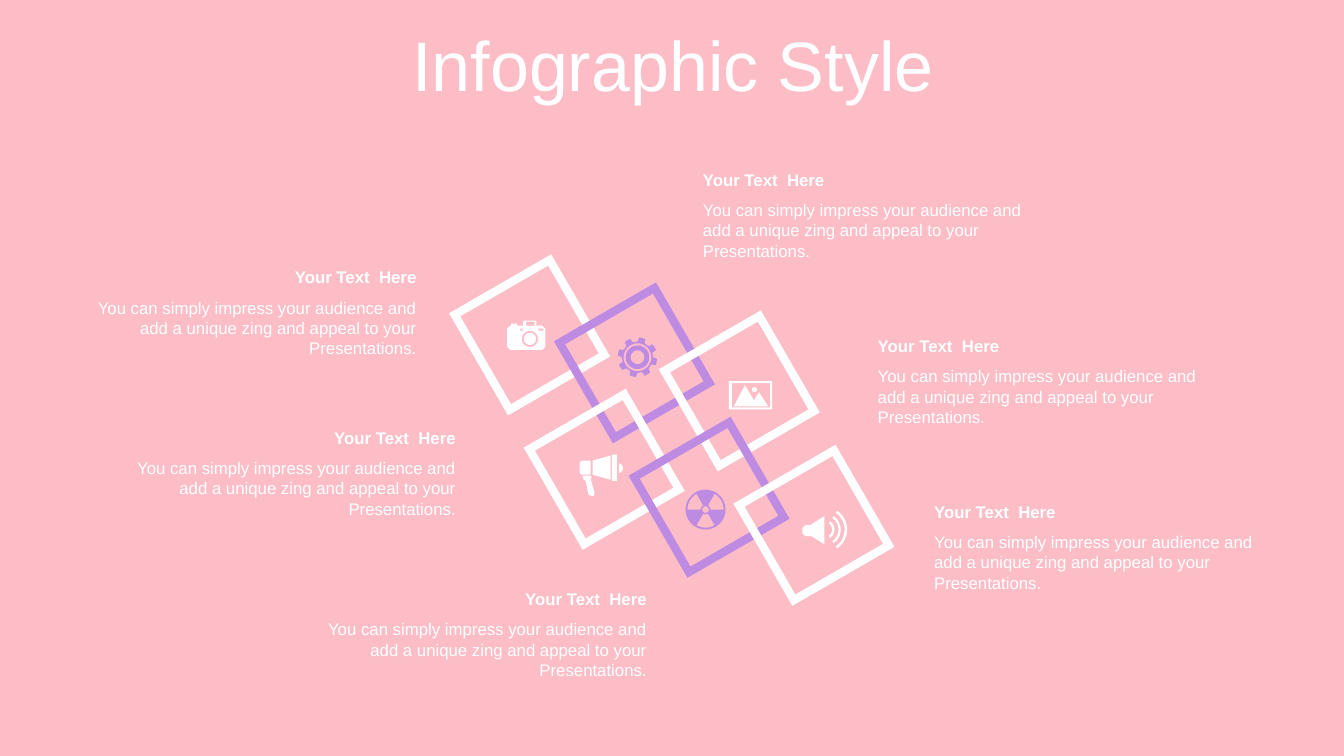
import math

import pptx
import pptx.dml.color
import pptx.enum.shapes
import pptx.enum.text
import pptx.util

Pt = pptx.util.Pt
COLORS = {"background": "FDBDC7", "light": "FFFFFF", "accent": "BE8BE2"}
FONT = "Arial"
HEADING = "Your Text  Here"
DETAIL = ("You can simply impress your audience and add a unique zing "
          "and appeal to your Presentations.")

LEFT_WIDTH, RIGHT_WIDTH = 257.8, 249.8
# left, top, and whether the caption stands left of the frames
CAPTIONS = [
    (495, 117.4, False), (619.9, 236.2, False), (660.2, 354.6, False),
    (46.8, 187.2, True), (74.9, 301.7, True), (211.3, 416.9, True),
]

ICON_UNIT = 0.72   # points per icon grid unit
ICON_DETAIL = 10   # freeform steps per grid unit


def color(name):
    return pptx.dml.color.RGBColor.from_string(COLORS[name])


def paint(shape, fill):
    shape.fill.solid()
    shape.fill.fore_color.rgb = color(fill)
    shape.line.fill.background()
    shape.shadow.inherit = False


def style_runs(paragraph, size, bold=False):
    for run in paragraph.runs:
        run.font.name = FONT
        run.font.size = Pt(size)
        run.font.bold = bold
        run.font.color.rgb = color("light")


def rect(left, top, right, bottom):
    return [(left, top), (right, top), (right, bottom), (left, bottom)]


def arc(x, y, radius, start=0, end=360):
    """Points on a circle from start to end, in degrees clockwise."""
    steps = max(8, round(abs(end - start) / 8))
    angles = [math.radians(start + (end - start) * i / steps)
              for i in range(steps + 1)]
    return [(x + radius * math.cos(a), y + radius * math.sin(a))
            for a in angles]


def band(x, y, inner, outer, start, end):
    return arc(x, y, outer, start, end) + arc(x, y, inner, end, start)


def gear_rim(teeth=8):
    rim = []
    for tooth in range(teeth):
        middle = -76 + tooth * 360 / teeth
        for radius, turn in [(15.5, -14), (19.8, -9), (19.8, 9), (15.5, 14)]:
            angle = math.radians(middle + turn)
            rim.append((radius * math.cos(angle), radius * math.sin(angle)))
    return rim


def camera():
    body = [(17, 0), (28, 0), (29, 1), (29, 5), (35, 5), (38, 8), (38, 26),
            (35, 29), (3, 29), (0, 26), (0, 8), (3, 5), (4, 5), (4, 3),
            (10, 3), (10, 5), (16, 5), (16, 1)]
    return [body, rect(19, 1, 27, 5), rect(13, 8, 16, 10),
            rect(31, 8, 36, 10), arc(22.7, 18.2, 8), arc(22.7, 18.2, 6)]


def gear():
    return [gear_rim()] + [arc(0, 0, radius) for radius in (13.8, 11.7, 6.8)]


def landscape():
    mountains = [(16, 4), (25, 19), (30, 11), (39, 25), (5, 25)]
    return [rect(0, 0, 43, 28), rect(3, 2, 41, 26), mountains,
            arc(25.5, 8.5, 2.5)]


def megaphone():
    handle = [(11, 21), (12, 23), (11, 24), (15, 38), (14, 41), (12, 41),
              (9, 40), (6, 26), (4, 25), (3, 21)]
    grip = [(2, 6), (11, 6), (11, 20), (2, 20), (0, 18), (0, 8)]
    cone = [(31, 1), (31, 25), (13, 20), (13, 6)]
    return [handle, grip, cone, rect(32, 0, 37, 26),
            arc(38.3, 13.5, 4.8, -80, 80)]


def radiation():
    sectors = [band(0, 0, 4.8, 18, start, start + 60)
               for start in (-60, 60, 180)]
    return [arc(0, 0, 19.8), *sectors, arc(0, 0, 3.3)]


def speaker():
    cone = [(22, 5), (22, 33), (9, 25), (3, 25), (0, 22), (0, 17), (3, 14),
            (8, 14)]
    waves = [band(22, 18.5, inner, outer, -56, 56)
             for inner, outer in [(7.5, 10), (13.8, 16.2), (20, 22.5)]]
    return [cone, *waves]


def add_icon(slide, x, y, contours, fill):
    outlines = [[(round(px * ICON_DETAIL), round(py * ICON_DETAIL))
                 for px, py in contour] for contour in contours]
    builder = slide.shapes.build_freeform(
        *outlines[0][0], scale=Pt(ICON_UNIT / ICON_DETAIL))
    for index, outline in enumerate(outlines):
        if index:
            builder.move_to(*outline[0])
        builder.add_line_segments(outline[1:], close=True)
    paint(builder.convert_to_shape(Pt(x), Pt(y)), fill)


def add_frames(slide):
    for row in range(2):
        for column in range(3):
            frame = slide.shapes.add_shape(
                pptx.enum.shapes.MSO_SHAPE.FRAME,
                Pt(336.2 + 74.9 * column + 53.3 * row),
                Pt(197.1 + 20 * column + 96 * row), Pt(84.2), Pt(84.2))
            frame.adjustments[0] = 0.07
            frame.rotation = 330
            paint(frame, "accent" if column == 1 else "light")


def add_text(slide, text, left, top, width, height, align, bold=False):
    box = slide.shapes.add_textbox(Pt(left), Pt(top), Pt(width), Pt(height))
    box.text_frame.word_wrap = True
    box.text_frame.text = text
    paragraph = box.text_frame.paragraphs[0]
    paragraph.alignment = align
    paragraph.line_spacing = Pt(14.5)
    style_runs(paragraph, 12, bold)


def add_caption(slide, left, top, on_left):
    width = LEFT_WIDTH if on_left else RIGHT_WIDTH
    sides = pptx.enum.text.PP_ALIGN
    align = sides.RIGHT if on_left else sides.LEFT
    add_text(slide, HEADING, left, top, width, 21.6, align, bold=True)
    add_text(slide, DETAIL, left, top + 21.6, width, 51, align)


def set_title(slide, text):
    title = slide.shapes.title
    title.left, title.top = Pt(25.2), Pt(22.3)
    title.width, title.height = Pt(911.5), Pt(56.9)
    frame = title.text_frame
    frame.text = text
    frame.word_wrap = True
    frame.auto_size = pptx.enum.text.MSO_AUTO_SIZE.NONE
    frame.vertical_anchor = pptx.enum.text.MSO_ANCHOR.MIDDLE
    paragraph = frame.paragraphs[0]
    paragraph.alignment = pptx.enum.text.PP_ALIGN.CENTER
    paragraph.line_spacing = 0.8
    style_runs(paragraph, 50)


def main():
    deck = pptx.Presentation()
    deck.slide_width, deck.slide_height = Pt(960), Pt(540)
    slide = deck.slides.add_slide(deck.slide_layouts.get_by_name("Title Only"))
    slide.background.fill.solid()
    slide.background.fill.fore_color.rgb = color("background")

    set_title(slide, "Infographic Style")
    add_frames(slide)
    for caption in CAPTIONS:
        add_caption(slide, *caption)

    add_icon(slide, 362.2, 229, camera(), "light")
    add_icon(slide, 455.4, 255.2, gear(), "accent")
    add_icon(slide, 520.6, 272.2, landscape(), "light")
    add_icon(slide, 414, 324.7, megaphone(), "light")
    add_icon(slide, 504, 364, radiation(), "accent")
    add_icon(slide, 573.1, 365, speaker(), "light")
    deck.save("out.pptx")


if __name__ == "__main__":
    main()
